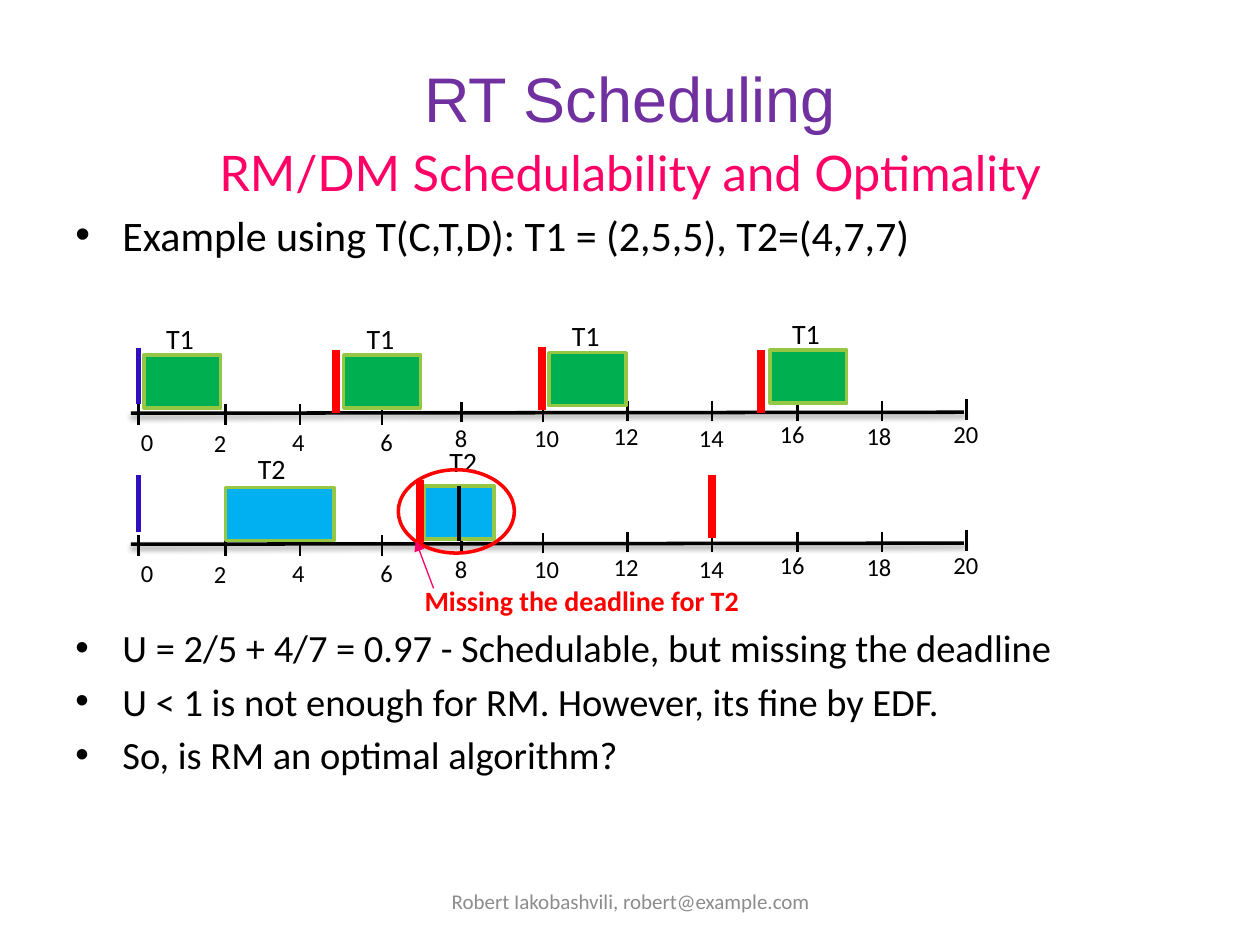
"""Build the RT Scheduling slide with two task timelines."""
from lxml.etree import SubElement
from pptx import Presentation
from pptx.dml.color import RGBColor
from pptx.enum.shapes import MSO_CONNECTOR, MSO_SHAPE
from pptx.enum.text import MSO_ANCHOR, PP_ALIGN
from pptx.oxml.ns import qn
from pptx.util import Cm, Pt

BLACK, RED, PINK, PURPLE, GREY = "000000", "FF0000", "FF0066", "7030A0", "8C8C8C"
BLUE, GREEN, CYAN, LIME = "310FC1", "00B050", "00B0F0", "95C745"

TITLE = "RT Scheduling"
FOOTER = "Robert Iakobashvili, robert@example.com"
BODY = [
    ("RM/DM Schedulability and Optimality", 28, "Lato", PINK, 0, False),
    ("Example using T(C,T,D): T1 = (2,5,5), T2=(4,7,7)", 24, "Calibri", BLACK, 4.8, True),
    ("U = 2/5 + 4/7 = 0.97 - Schedulable, but missing the deadline", 22, "Calibri", BLACK, 208, True),
    ("U < 1 is not enough for RM. However, its fine by EDF.", 22, "Calibri", BLACK, 4.4, True),
    ("So, is RM an optimal algorithm?", 22, "Calibri", BLACK, 4.4, True),
]
# label, tick x, tick top, label left, label top
TICKS = [
    ("0", 1.1, 3.21, 1.02, 3.34), ("2", 1.79, 3.21, 1.6, 3.35), ("4", 2.38, 3.21, 2.22, 3.34),
    ("6", 3.03, 3.21, 2.92, 3.34), ("8", 3.66, 3.19, 3.51, 3.31), ("10", 4.31, 3.19, 4.14, 3.31),
    ("12", 4.98, 3.18, 4.77, 3.29), ("14", 5.65, 3.18, 5.45, 3.31), ("16", 6.33, 3.18, 6.09, 3.28),
    ("18", 7, 3.18, 6.78, 3.29), ("20", 7.67, 3.17, 7.47, 3.28),
]
AXIS_OFFSETS = (0, 1.04)
STARTS = [(1.1, 2.76), (1.1, 3.77)]
DEADLINES = [(2.67, 2.78), (4.3, 2.75), (6.04, 2.78), (3.33, 3.81), (5.65, 3.77)]
T1_JOBS = [(1.14, 2.82), (2.73, 2.82), (4.36, 2.8), (6.11, 2.78)]
T2_JOBS = [(1.79, 3.87, 0.86), (3.37, 3.86, 0.55)]
T2_LABELS = [(1.95, 3.53), (3.47, 3.48)]


def color(value):
    return RGBColor.from_string(value)


def lengths(*inches):
    return [Cm(round(value * 2.54, 2)) for value in inches]


def write(para, text, size, font="Calibri", ink=BLACK, bold=False):
    span = para.add_run()
    span.text = text
    for name, value in {"size": Pt(size), "name": font, "bold": bold}.items():
        setattr(span.font, name, value)
    span.font.color.rgb = color(ink)


def add_box(page, at, anchor=MSO_ANCHOR.TOP):
    frame = page.shapes.add_textbox(*lengths(*at)).text_frame
    for name, value in {"word_wrap": True, "vertical_anchor": anchor}.items():
        setattr(frame, name, value)
    return frame


def add_label(page, at, text, size, align=PP_ALIGN.LEFT, anchor=MSO_ANCHOR.TOP, **style):
    para = add_box(page, at, anchor).paragraphs[0]
    para.alignment = align
    write(para, text, size, **style)


def add_line(page, start, end, ink, width):
    line = page.shapes.add_connector(MSO_CONNECTOR.STRAIGHT, *lengths(*start, *end))
    line.line.color.rgb = color(ink)
    line.line.width = Pt(width)
    effects = SubElement(line._element.spPr, qn("a:effectLst"))
    return line, effects


def add_shape(page, kind, at, ink, fill=None):
    shape = page.shapes.add_shape(kind, *lengths(*at))
    shape.shadow.inherit = False
    if fill:
        shape.fill.solid()
        shape.fill.fore_color.rgb = color(fill)
    else:
        shape.fill.background()
    shape.line.color.rgb = color(ink)
    shape.line.width = Pt(2)


def add_bullet(para):
    properties = para._p.get_or_add_pPr()
    properties.set("marL", str(Cm(0.95)))
    properties.set("indent", str(Cm(-0.95)))
    SubElement(properties, qn("a:buFont"), typeface="Arial")
    SubElement(properties, qn("a:buChar"), char="•")


def add_body(page):
    frame = add_box(page, (0.5, 1.08, 9, 5.75))
    for index, (text, size, font, ink, before, bulleted) in enumerate(BODY):
        para = frame.add_paragraph() if index else frame.paragraphs[0]
        para.space_before = Pt(before)
        para.alignment = PP_ALIGN.LEFT if bulleted else PP_ALIGN.CENTER
        if bulleted:
            add_bullet(para)
        write(para, text, size, font, ink)


def add_axis(page, offset):
    effects = add_line(page, (1.04, 3.28 + offset), (7.65, 3.27 + offset), BLACK, 2)[1]
    shadow = SubElement(effects, qn("a:outerShdw"), blurRad=str(Pt(3.1)), dist=str(Pt(1.6)),
                        dir="5400000", rotWithShape="0")
    ink = SubElement(shadow, qn("a:srgbClr"), val=BLACK)
    SubElement(ink, qn("a:alpha"), val="38000")
    for text, x, top, left, label_top in TICKS:
        add_line(page, (x, top + offset), (x, top + offset + 0.16), BLACK, 1.5)
        width = 0.27 if len(text) == 1 else 0.44
        add_label(page, (left, label_top + offset, width, 0.32), text, 14)


def add_jobs(page):
    for x, top in STARTS:
        add_line(page, (x, top), (x, top + 0.45), BLUE, 3)
    for left, top, width in T2_JOBS:
        add_shape(page, MSO_SHAPE.RECTANGLE, (left, top, width, 0.42), LIME, CYAN)
    for x, top in DEADLINES:
        add_line(page, (x, top), (x, top + 0.5), RED, 4.5)
    for left, top in T1_JOBS:
        add_shape(page, MSO_SHAPE.RECTANGLE, (left, top, 0.61, 0.42), LIME, GREEN)
        add_label(page, (left + 0.08, top - 0.32, 0.44, 0.37), "T1", 16)
    for left, top in T2_LABELS:
        add_label(page, (left, top, 0.45, 0.37), "T2", 16)


def add_missed_deadline(page):
    add_label(page, (3.27, 4.58, 2.76, 0.37), "Missing the deadline for T2", 16, ink=RED, bold=True)
    add_shape(page, MSO_SHAPE.OVAL, (3.16, 3.73, 0.92, 0.66), RED)
    arrow = add_line(page, (3.44, 4.67), (3.3, 4.29), PINK, 0.75)[0]
    SubElement(arrow.line._get_or_add_ln(), qn("a:tailEnd"), type="triangle")
    add_line(page, (3.64, 3.86), (3.64, 4.29), BLACK, 2.25)


def main():
    deck = Presentation()
    deck.slide_width, deck.slide_height = lengths(10, 7.5)
    page = deck.slides.add_slide(deck.slide_layouts[6])
    centred = {"align": PP_ALIGN.CENTER, "anchor": MSO_ANCHOR.MIDDLE}
    add_label(page, (0.5, 0.3, 9, 0.95), TITLE, 36, font="Arial", ink=PURPLE, **centred)
    add_body(page)
    for offset in AXIS_OFFSETS:
        add_axis(page, offset)
    add_jobs(page)
    add_label(page, (3.42, 6.95, 3.17, 0.4), FOOTER, 12, ink=GREY, **centred)
    add_missed_deadline(page)
    deck.save("out.pptx")


if __name__ == "__main__":
    main()
